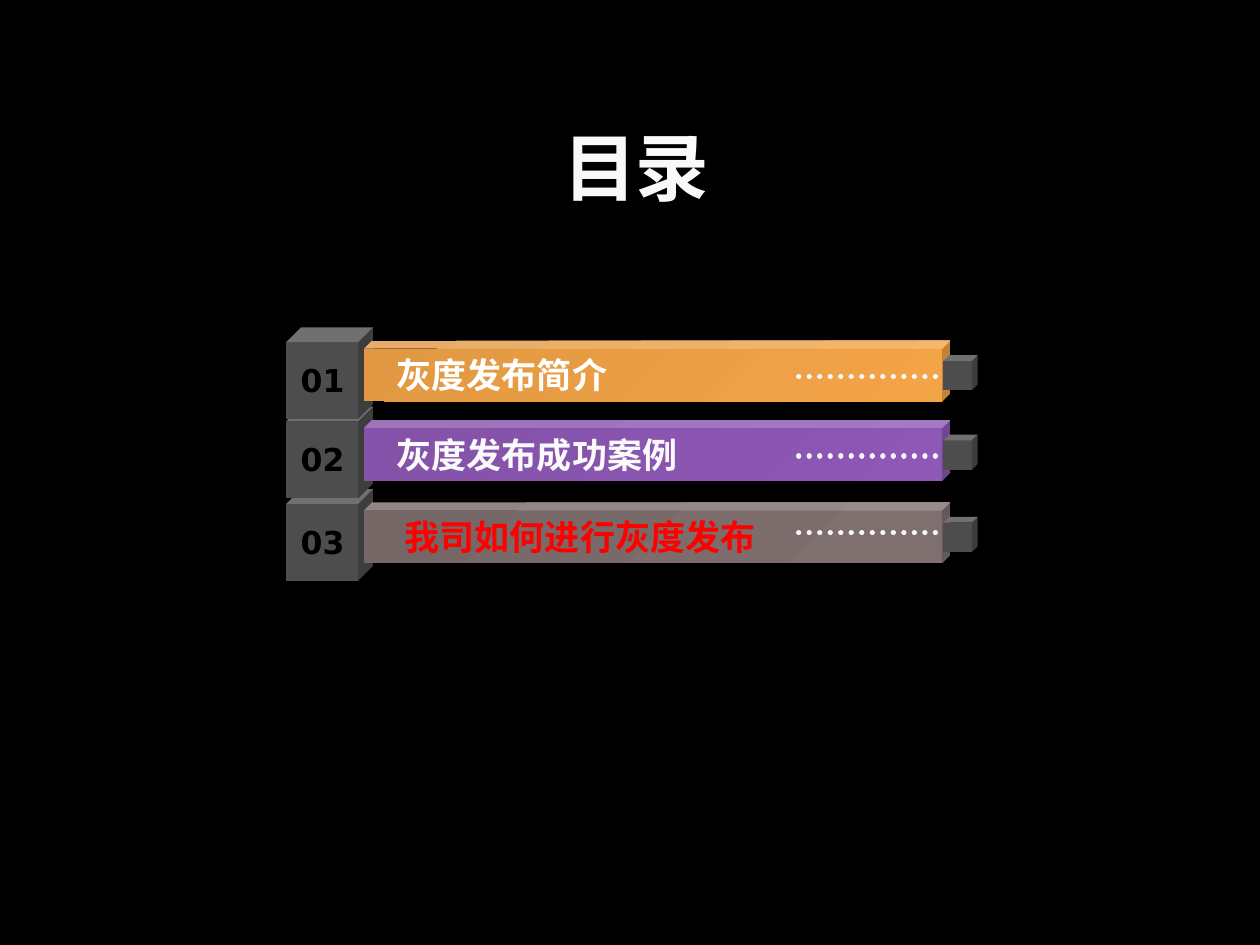
from lxml import etree
from pptx import Presentation
from pptx.dml.color import RGBColor
from pptx.enum import dml, shapes, text
from pptx.oxml import parse_xml
from pptx.oxml.ns import nsdecls, qn
from pptx.util import Cm, Pt


def rgb(code):
    return RGBColor.from_string(code)


class Deck:
    """Holds the style and the current slide."""
    gray, dots = "4D4D4D", "F8F8F8"
    head, digit = "Vollkorn", "DejaVu Sans"

    def __init__(self):
        self.prs = Presentation()
        self.prs.slide_width, self.prs.slide_height = Cm(25.4), Cm(19.05)
        self.slide = self.prs.slides.add_slide(self.prs.slide_layouts[6])
        fill = self.slide.background.fill
        fill.solid()
        fill.fore_color.rgb = rgb("000000")

    def cube(self, box, depth, *tones):
        cube = self.slide.shapes.add_shape(shapes.MSO_SHAPE.CUBE, *map(Cm, box))
        cube.adjustments[0] = depth
        cube.shadow.inherit = False
        cube.line.fill.background()
        if len(tones) == 1:
            cube.fill.solid()
            cube.fill.fore_color.rgb = rgb(tones[0])
        else:
            cube.fill.gradient()
            cube.fill.gradient_angle = 315
            for stop, tone in zip(cube.fill.gradient_stops, tones):
                stop.color.rgb = rgb(tone)

    def text(self, box, words, size, font, tone, center=False, grow=True):
        frame = self.slide.shapes.add_textbox(*map(Cm, box)).text_frame
        frame.word_wrap = True
        if grow:
            frame.auto_size = text.MSO_AUTO_SIZE.SHAPE_TO_FIT_TEXT
        else:
            frame.vertical_anchor = text.MSO_ANCHOR.BOTTOM
        para = frame.paragraphs[0]
        para.alignment = text.PP_ALIGN.CENTER if center else text.PP_ALIGN.LEFT
        run = para.add_run()
        run.text = words
        run.font.size, run.font.bold, run.font.name = Pt(size), True, font
        run.font.color.rgb = rgb(tone)
        return run

    def title(self, box, words):
        run = self.text(box, words, 42, self.head, "F9F9F9", True, False)
        # Tight letters with a faint outline
        props = run.font._element
        props.set("spc", "-100")
        props.insert(0, parse_xml(
            f'<a:ln {nsdecls("a")} w="3175"><a:solidFill><a:srgbClr val="3C4422">'
            '<a:alpha val="25000"/></a:srgbClr></a:solidFill></a:ln>'))

    def leader(self, left, right, y):
        line = self.slide.shapes.add_connector(
            shapes.MSO_CONNECTOR.STRAIGHT, Cm(left), Cm(y), Cm(right), Cm(y))
        line.line.color.rgb = rgb(self.dots)
        line.line.width = Pt(3)
        line.line.dash_style = dml.MSO_LINE.ROUND_DOT
        line.line._get_or_add_ln().set("cap", "rnd")
        etree.SubElement(line._element.spPr, qn("a:effectLst"))


def main():
    deck = Deck()
    deck.title((1.4, 0.99, 22.86, 3.38), "目录")

    # Top, number, topic, text colour, bar colours, leader drop
    rows = [
        (9.86, "03", " 我司如何进行灰度发布", "FF0000", ("766767", "7F6F6F"), 0.88),
        (8.2, "02", "灰度发布成功案例", "FAFAFA", ("8452A9", "8E58B6"), 0.99),
        (6.6, "01", "灰度发布简介", "FFFFFF", ("E29842", "F3A447"), 0.99),
    ]

    # Agenda rows, lowest first so that upper blocks overlap
    for top, num, topic, tone, bar, drop in rows:
        deck.cube((5.77, top, 1.75, 1.85), 0.171, deck.gray)
        deck.cube((7.34, top + 0.27, 11.81, 1.22), 0.129, *bar)
        deck.text((7.75, top + 0.41, 9.55, 1.09), topic, 20, deck.head, tone)
        deck.text((5.77, top + 0.55, 1.47, 1.02), num, 18, deck.digit, "000000", True)
        deck.leader(16.1, 19, top + drop)

    # End caps
    for top, *_ in rows:
        deck.cube((19.02, top + 0.56, 0.69, 0.71), 0.171, deck.gray)

    deck.prs.save("out.pptx")


if __name__ == "__main__":
    main()
